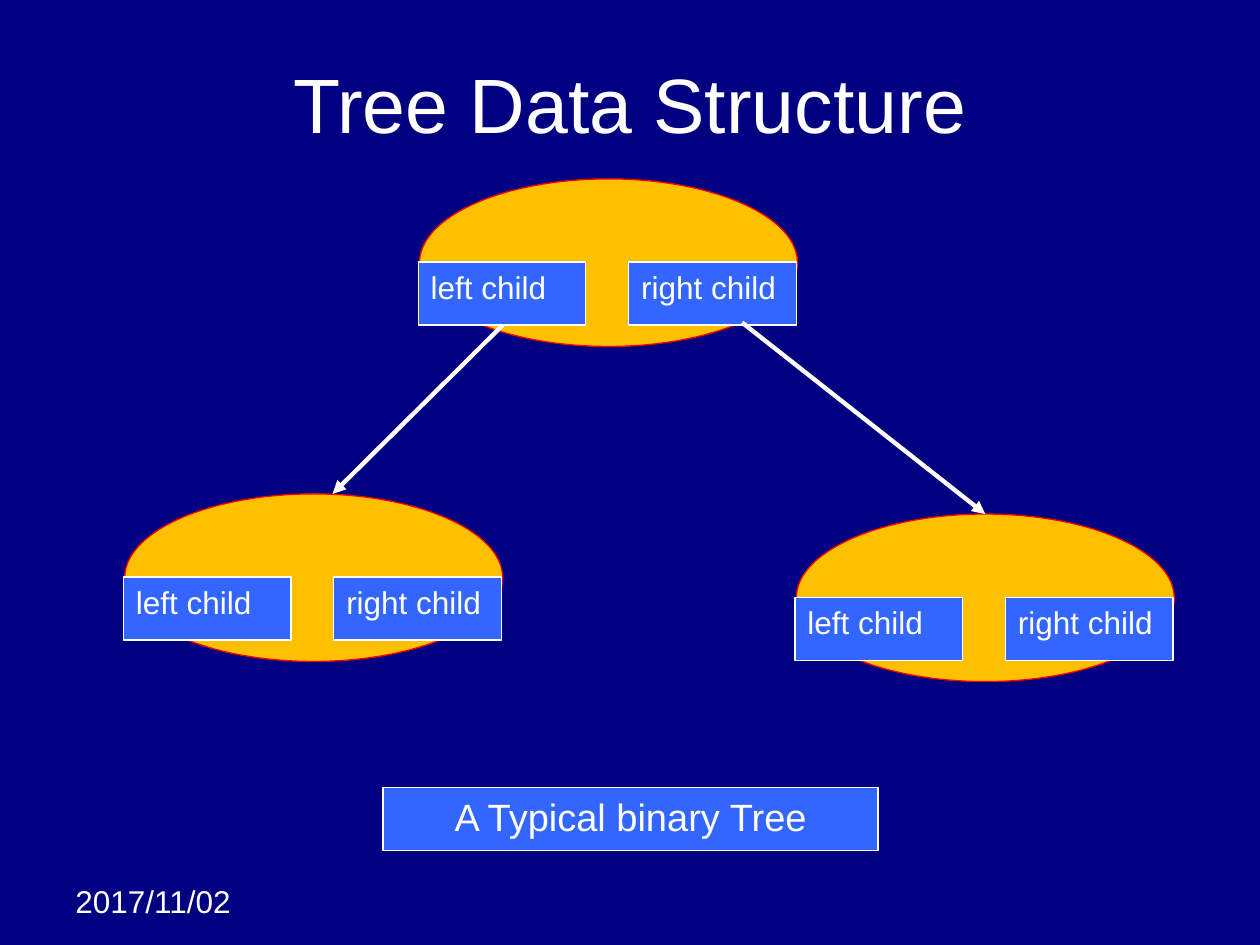
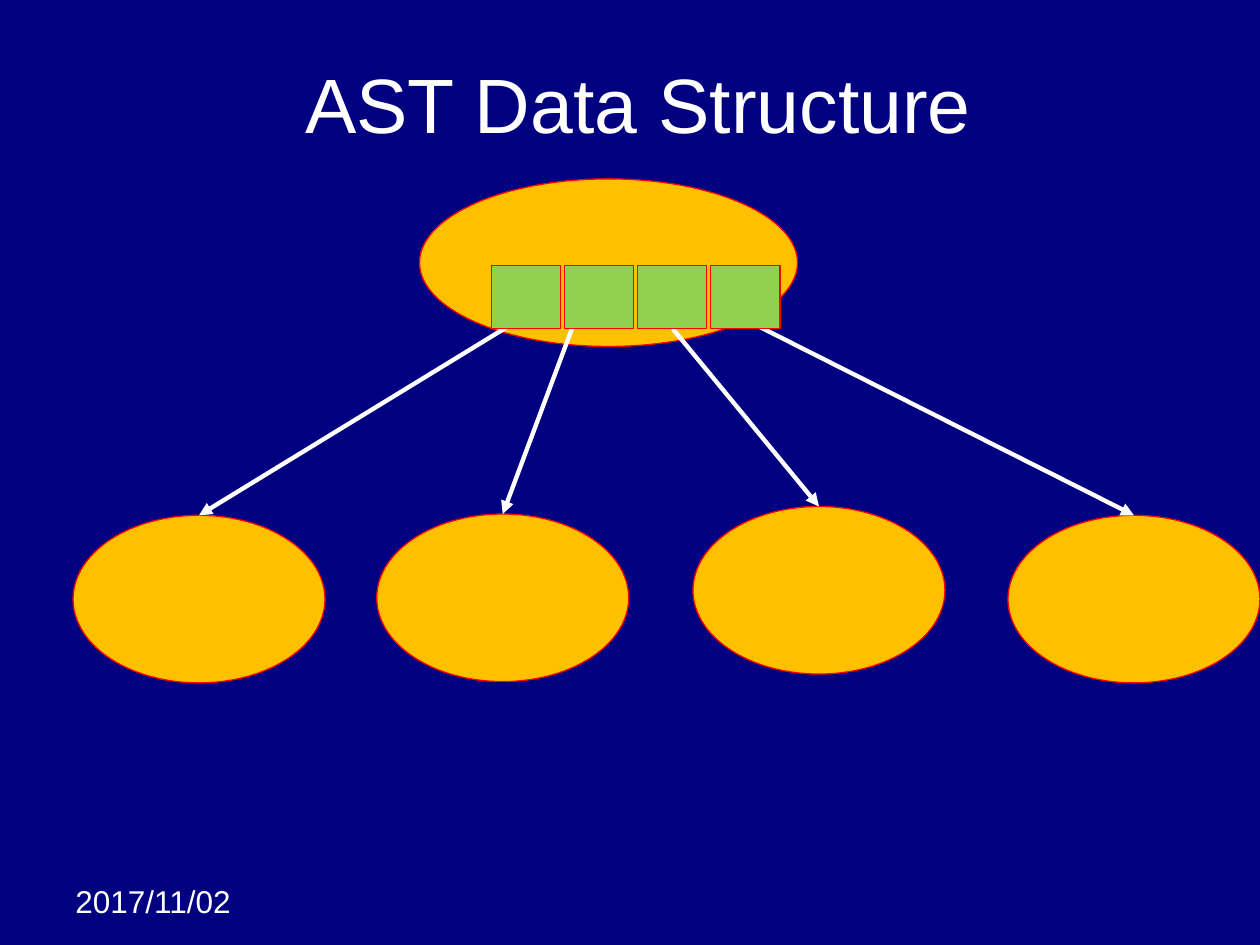
"""Build two slides that compare a binary tree with an AST."""
from lxml.etree import SubElement
from pptx import Presentation
from pptx.dml.color import RGBColor
from pptx.enum.shapes import MSO_CONNECTOR, MSO_SHAPE
from pptx.enum.text import MSO_ANCHOR as ANCHOR, PP_ALIGN as ALIGN
from pptx.oxml.ns import qn
from pptx.util import Inches, Pt

NAVY = RGBColor(0x00, 0x00, 0x80)
WHITE = RGBColor(0xFF, 0xFF, 0xFF)
AMBER = RGBColor(0xFF, 0xC0, 0x00)
RED = RGBColor(0xFF, 0x00, 0x00)
BLUE = RGBColor(0x33, 0x66, 0xFF)
GREEN = RGBColor(0x92, 0xD0, 0x50)
FONT = "Arial"
NODE_H = 1.33
ROOT = (3.33, 1.42)


def write(sp, text, size=18, align=ALIGN.LEFT, anchor=ANCHOR.TOP):
    tf = sp.text_frame
    tf.word_wrap = True
    tf.vertical_anchor = anchor
    p = tf.paragraphs[0]
    p.alignment = align
    r = p.add_run()
    r.text = text
    r.font.name = FONT
    r.font.size = Pt(size)
    r.font.color.rgb = WHITE


def draw(s, kind, x, y, w, h, fill, line):
    sp = s.shapes.add_shape(kind, Inches(x), Inches(y), Inches(w), Inches(h))
    sp.shadow.inherit = False
    sp.fill.solid()
    sp.fill.fore_color.rgb = fill
    sp.line.color.rgb = line
    sp.line.width = Pt(0.75)
    return sp


prs = Presentation()
prs.slide_width, prs.slide_height = Inches(10), Inches(7.5)
background = prs.slide_master.background.fill
background.solid()
background.fore_color.rgb = NAVY

slides = []
for title in ("Tree Data Structure", " AST Data Structure"):
    s = prs.slides.add_slide(prs.slide_layouts[6])
    date = s.shapes.add_textbox(Inches(0.5), Inches(6.95), Inches(1.58), Inches(0.4))
    write(date, "2017/11/02")
    heading = s.shapes.add_textbox(Inches(0.5), Inches(0.3), Inches(9), Inches(1.03))
    write(heading, title, size=44, align=ALIGN.CENTER, anchor=ANCHOR.MIDDLE)
    slides.append(s)
tree, ast = slides

for x, y in (ROOT, (0.99, 3.92), (6.32, 4.08)):
    draw(tree, MSO_SHAPE.OVAL, x, y, 3, NODE_H, AMBER, RED)
    for i, label in enumerate(("left child", "right child")):
        sp = draw(tree, MSO_SHAPE.RECTANGLE, x - 0.01 + i * 1.67, y + 0.66, 1.33, 0.5, BLUE, WHITE)
        write(sp, label)

caption = draw(tree, MSO_SHAPE.RECTANGLE, 3.04, 6.25, 3.93, 0.5, BLUE, WHITE)
write(caption, "A Typical binary Tree", size=21.7, align=ALIGN.CENTER)

draw(ast, MSO_SHAPE.OVAL, *ROOT, 3, NODE_H, AMBER, RED)
for x, y in ((0.58, 4.09), (2.99, 4.08), (5.5, 4.02), (8, 4.09)):
    draw(ast, MSO_SHAPE.OVAL, x, y, 2, NODE_H, AMBER, RED)

for s, x1, y1, x2, y2 in (
    (tree, 3.99, 2.58, 2.64, 3.92),
    (tree, 5.89, 2.56, 7.82, 4.08),
    (ast, 4.18, 2.5, 1.58, 4.09),
    (ast, 4.58, 2.5, 3.99, 4.08),
    (ast, 5.34, 2.61, 6.5, 4.02),
    (ast, 6, 2.58, 9, 4.09),
):
    cn = s.shapes.add_connector(MSO_CONNECTOR.STRAIGHT, Inches(x1), Inches(y1), Inches(x2), Inches(y2))
    cn.line.color.rgb = WHITE
    cn.line.width = Pt(2.5)
    props = cn._element.spPr
    SubElement(props.find(qn("a:ln")), qn("a:tailEnd"), type="triangle")
    SubElement(props, qn("a:effectLst"))

for i in range(4):
    draw(ast, MSO_SHAPE.RECTANGLE, 3.9 + i * 0.58, 2.11, 0.55, 0.5, GREEN, RED)

prs.save("out.pptx")
